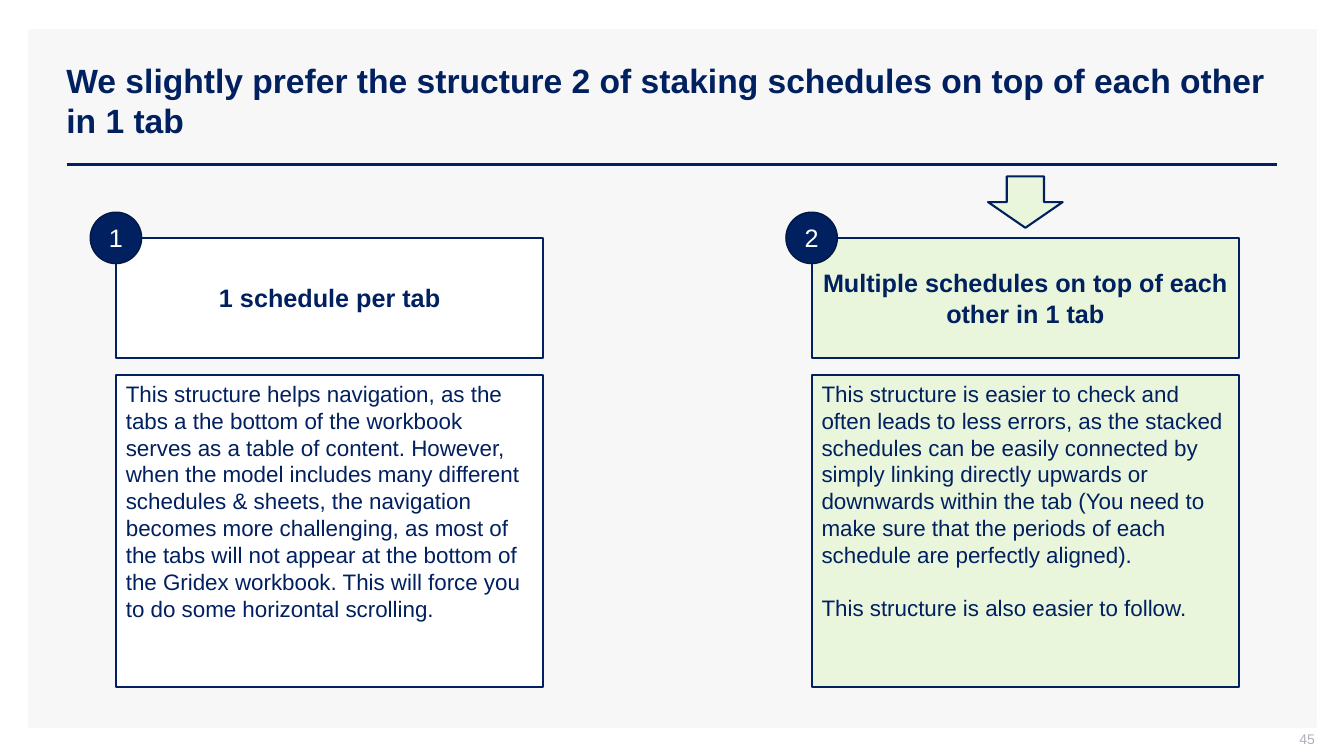
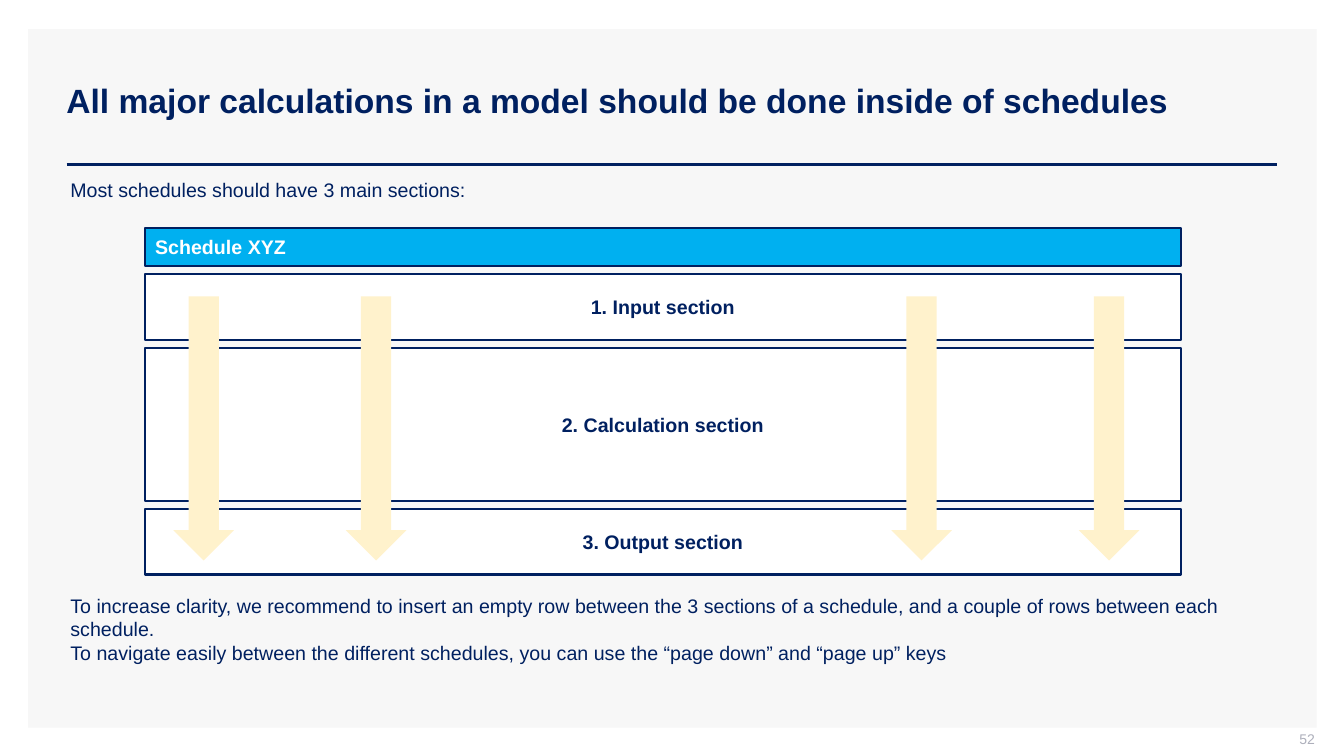
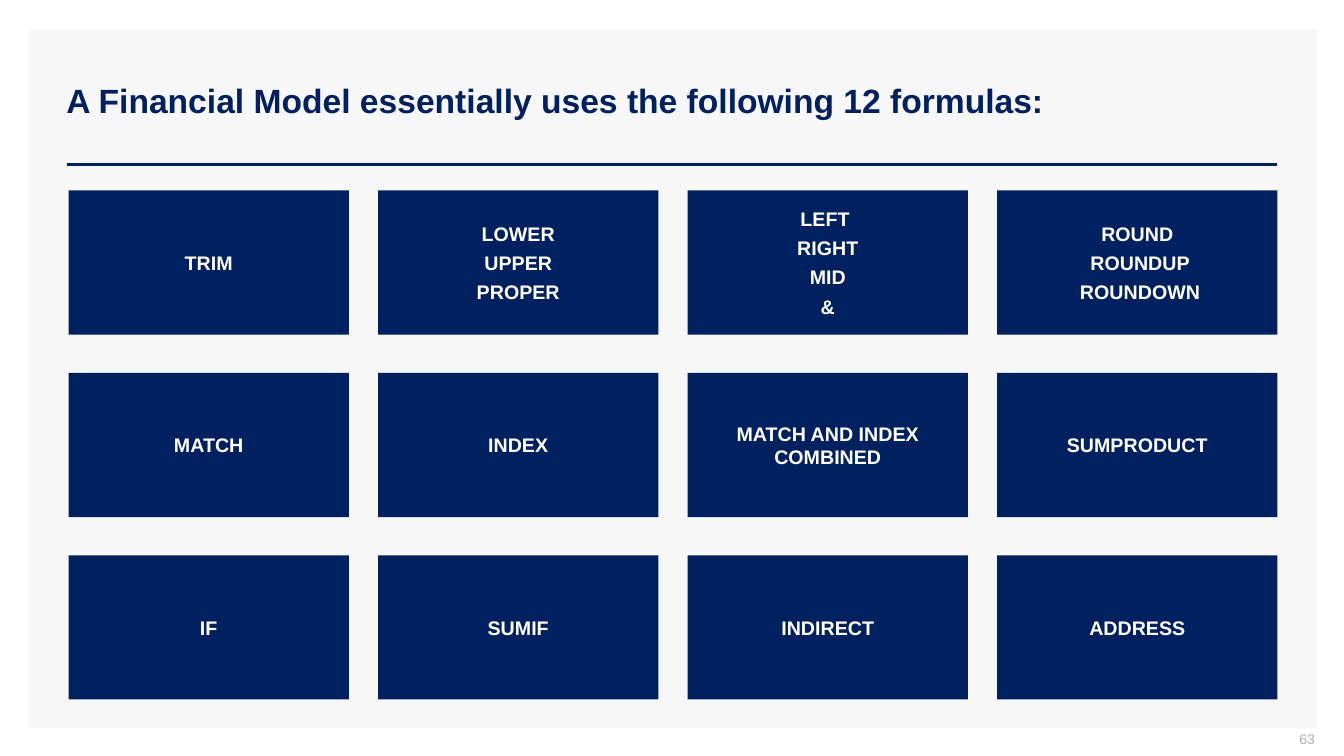
import pptx
import pptx.util
import pptx.dml.color
import pptx.enum.shapes
import pptx.enum.text
from lxml import etree

Inches, Pt = pptx.util.Inches, pptx.util.Pt
Shape = pptx.enum.shapes.MSO_SHAPE
Align = pptx.enum.text.PP_ALIGN
Anchor = pptx.enum.text.MSO_ANCHOR

FONT = "Arial"
HUES = {
    "navy": "002060", "edge": "001847", "panel": "F7F7F7", "white": "FFFFFF",
    "green": "E9F6DC", "cream": "FFF2CC", "cyan": "00B0F0", "grey": "ADAFBB",
}

OPTIONS = {
    "title": "We slightly prefer the structure 2 of staking schedules on top of each other in 1 tab",
    "page": 45,
    "columns": [
        ("1 schedule per tab", "white", [
            "This structure helps navigation, as the tabs a the bottom of the workbook serves "
            "as a table of content. However, when the model includes many different schedules "
            "& sheets, the navigation becomes more challenging, as most of the tabs will not "
            "appear at the bottom of the Gridex workbook. This will force you to do some "
            "horizontal scrolling."]),
        ("Multiple schedules on top of each other in 1 tab", "green", [
            "This structure is easier to check and often leads to less errors, as the stacked "
            "schedules can be easily connected by simply linking directly upwards or downwards "
            "within the tab (You need to make sure that the periods of each schedule are "
            "perfectly aligned).",
            "This structure is also easier to follow."]),
    ],
    "chosen": 1,
}

SCHEDULE = {
    "title": "All major calculations in a model should be done inside of schedules",
    "page": 52,
    "intro": ["Most schedules should have 3 main sections:"],
    "header": "Schedule XYZ",
    "sections": [("1. Input section", 0.65), ("2. Calculation section", 1.52),
                 ("3. Output section", 0.65)],
    "arrows": [1.72, 3.43, 8.84, 10.7],
    "advice": [
        "To increase clarity, we recommend to insert an empty row between the 3 sections of a "
        "schedule, and a couple of rows between each schedule.",
        "To navigate easily between the different schedules, you can use the “page down” and "
        "“page up” keys"],
}

FORMULAS = {
    "title": "A Financial Model essentially uses the following 12 formulas:",
    "page": 63,
    "grid": [
        [["TRIM"], ["LOWER", "UPPER", "PROPER"], ["LEFT ", "RIGHT", "MID", "&"],
         ["ROUND", " ROUNDUP", " ROUNDOWN"]],
        [["MATCH"], ["INDEX"], ["MATCH AND INDEX COMBINED"], ["SUMPRODUCT"]],
        [["IF"], ["SUMIF"], ["INDIRECT"], ["ADDRESS"]],
    ],
}


def color(name):
    return pptx.dml.color.RGBColor.from_string(HUES[name])


def write(shape, lines, size, hue="navy", bold=False, align=Align.LEFT,
          anchor=Anchor.MIDDLE, gap=0):
    """Fill a shape with paragraphs; gap is the space between them in points."""
    frame = shape.text_frame
    frame.word_wrap = True
    frame.vertical_anchor = anchor
    frame.text = "\n".join(lines)
    for index, para in enumerate(frame.paragraphs):
        para.alignment = align
        if index and gap:
            para.space_before = Pt(gap)
        for run in para.runs:
            run.font.name = FONT
            run.font.size = Pt(size)
            run.font.bold = bold
            run.font.color.rgb = color(hue)
    return frame


def label(slide, box, lines, size, **style):
    text = slide.shapes.add_textbox(*map(Inches, box))
    return write(text, lines, size, **style)


def draw(slide, kind, box, fill, line=None, width=1.5):
    shape = slide.shapes.add_shape(kind, *map(Inches, box))
    shape.shadow.inherit = False
    shape.fill.solid()
    shape.fill.fore_color.rgb = color(fill)
    if line:
        shape.line.color.rgb = color(line)
        shape.line.width = Pt(width)
    else:
        shape.line.fill.background()
    return shape


def start(deck, data):
    """Add a slide with the shared panel, title, rule and page number."""
    slide = deck.slides.add_slide(deck.slide_layouts[6])
    draw(slide, Shape.RECTANGLE, (0.28, 0.29, 12.78, 6.93), "panel")
    rule = slide.shapes.add_connector(
        pptx.enum.shapes.MSO_CONNECTOR.STRAIGHT,
        Inches(0.66), Inches(1.63), Inches(12.67), Inches(1.63))
    rule.line.color.rgb = color("navy")
    rule.line.width = Pt(2)
    etree.SubElement(rule.element.spPr, pptx.oxml.ns.qn("a:effectLst"))
    label(slide, (0.56, 0.4, 12.11, 1.19), [data["title"]], 24, bold=True)
    page = label(slide, (10.04, 7.25, 3, 0.21), [str(data["page"])], 10,
                 hue="grey", align=Align.RIGHT)
    page.margin_top = page.margin_right = 0
    return slide


def compare(deck, data):
    slide = start(deck, data)
    left, pitch, wide, top, dot = 1.15, 6.9, 4.24, 2.36, 0.51
    for index, (head, fill, body) in enumerate(data["columns"]):
        x = left + index * pitch
        box = draw(slide, Shape.RECTANGLE, (x, top, wide, 1.19), fill, "navy")
        write(box, [head], 18, bold=True, align=Align.CENTER)
        box = draw(slide, Shape.RECTANGLE, (x, 3.72, wide, 3.1), fill, "navy")
        write(box, body, 16, anchor=Anchor.TOP, gap=19)
        badge = draw(slide, Shape.OVAL, (x - dot / 2, top - dot / 2, dot, dot),
                     "navy", "edge", 1)
        write(badge, [str(index + 1)], 18, hue="white", align=Align.CENTER)
    mid = left + data["chosen"] * pitch + wide / 2
    draw(slide, Shape.DOWN_ARROW, (mid - 0.37, 1.75, 0.74, 0.51), "green", "navy")


def stack(deck, data):
    slide = start(deck, data)
    left, top, wide, tall, gap = 1.44, 2.26, 10.27, 0.38, 0.08
    label(slide, (0.6, 1.72, 12, 0.34), data["intro"], 14, anchor=Anchor.TOP)
    bar = draw(slide, Shape.RECTANGLE, (left, top, wide, tall), "cyan", "navy")
    write(bar, [data["header"]], 14, hue="white", bold=True)
    top += tall + gap
    for name, tall in data["sections"]:
        box = draw(slide, Shape.RECTANGLE, (left, top, wide, tall), "white", "navy")
        write(box, [name], 14, bold=True, align=Align.CENTER)
        top += tall + gap
    for x in data["arrows"]:
        draw(slide, Shape.DOWN_ARROW, (x, 2.94, 0.6, 2.62), "cream")
    label(slide, (0.6, 5.84, 12, 0.81), data["advice"], 14, anchor=Anchor.TOP)


def tiles(deck, data):
    slide = start(deck, data)
    for row, cells in enumerate(data["grid"]):
        for col, lines in enumerate(cells):
            spot = (0.68 + col * 3.07, 1.89 + row * 1.81, 2.78, 1.43)
            tile = draw(slide, Shape.RECTANGLE, spot, "navy")
            frame = write(tile, lines, 14, hue="white", bold=True,
                          align=Align.CENTER, gap=4)
            frame.margin_left = frame.margin_right = Inches(0.2)


def main():
    deck = pptx.Presentation()
    deck.slide_width, deck.slide_height = Inches(13.33), Inches(7.5)
    compare(deck, OPTIONS)
    stack(deck, SCHEDULE)
    tiles(deck, FORMULAS)
    deck.save("out.pptx")


if __name__ == "__main__":
    main()
